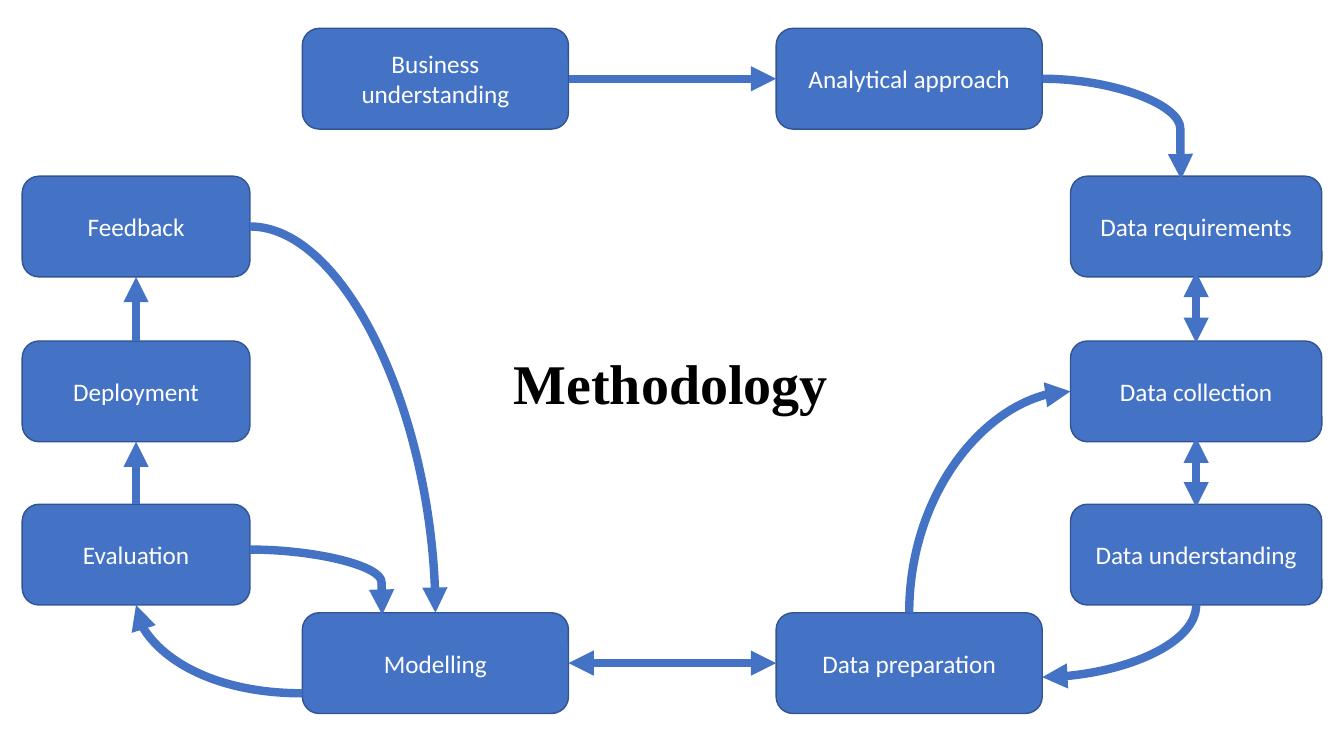
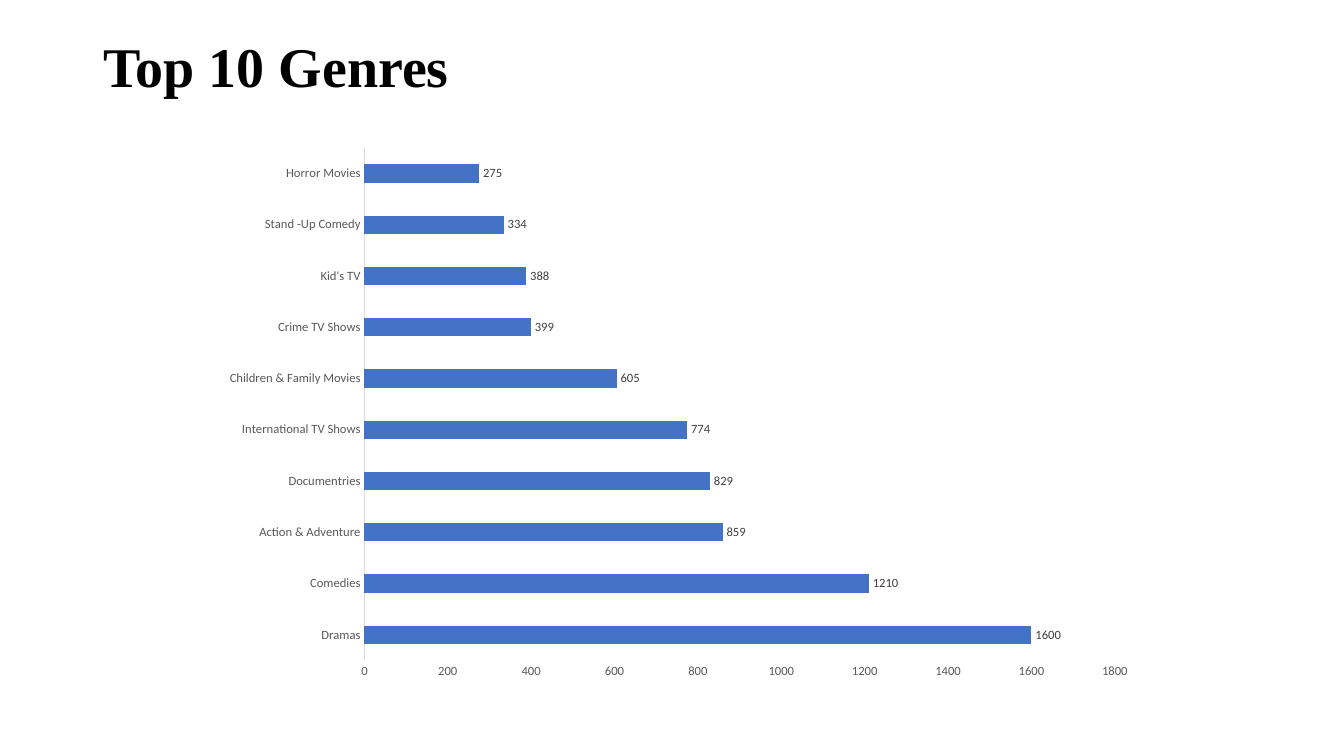
"""Build a methodology flow slide and a bar chart slide of the top ten genres."""
import lxml.etree
import pptx
import pptx.chart.data
import pptx.dml.color
import pptx.enum.chart
import pptx.enum.shapes
import pptx.enum.text
import pptx.oxml.ns
import pptx.util

BLUE, EDGE, WHITE, BLACK = "4472C4", "325491", "FFFFFF", "000000"
GREY, DARK, PALE = "595959", "404040", "D9D9D9"
BODY, HEAD = "Calibri", "Times New Roman"

deck = pptx.Presentation()
deck.slide_width = pptx.util.Inches(13.33)
deck.slide_height = pptx.util.Inches(7.5)
col, row = deck.slide_width / 100, deck.slide_height / 100
qn = pptx.oxml.ns.qn


def style(font, size, color, name=BODY, bold=False):
    font.size, font.name, font.bold = pptx.util.Pt(size), name, bold
    font.color.rgb = pptx.dml.color.RGBColor.from_string(color)


def paint(form, color):
    form.solid()
    form.fore_color.rgb = pptx.dml.color.RGBColor.from_string(color)


pages = []
for text, left, top, width in [("Methodology", 37.35, 45.45, 25.1),
                               ("Top 10 Genres", 6.8, 3.5, 27.5)]:
    page = deck.slides.add_slide(deck.slide_layouts[5])
    title = page.shapes.title
    title.left, title.top = int(left * col), int(top * row)
    title.width, title.height = int(width * col), int(10.3 * row)
    frame = title.text_frame
    frame.text = text
    frame.word_wrap = False
    frame.auto_size = pptx.enum.text.MSO_AUTO_SIZE.SHAPE_TO_FIT_TEXT
    frame.paragraphs[0].alignment = pptx.enum.text.PP_ALIGN.CENTER
    style(frame.paragraphs[0].font, 40, BLACK, HEAD, True)
    pages.append(page)
flow, genres = pages

cols = [(1.65, 16.95), (22.5, 19.8), (57.75, 19.8), (79.65, 18.7)]
rows = [3.75, 23.3, 45.1, 66.7, 81.05]
tall = 13.33
steps = [
    ("Business understanding", 1, 0), ("Analytical approach", 2, 0),
    ("Data requirements", 3, 1), ("Data collection", 3, 2),
    ("Data understanding", 3, 3), ("Data preparation", 2, 4),
    ("Modelling", 1, 4), ("Evaluation", 0, 3),
    ("Deployment", 0, 2), ("Feedback", 0, 1),
]
boxes = {}
for text, across, down in steps:
    left, width = cols[across]
    box = flow.shapes.add_shape(
        pptx.enum.shapes.MSO_SHAPE.ROUNDED_RECTANGLE, int(left * col),
        int(rows[down] * row), int(width * col), int(tall * row))
    box.shadow.inherit = False
    paint(box.fill, BLUE)
    paint(box.line.fill, EDGE)
    box.line.width = pptx.util.Pt(1)
    frame = box.text_frame
    frame.word_wrap = True
    frame.vertical_anchor = pptx.enum.text.MSO_ANCHOR.MIDDLE
    para = frame.paragraphs[0]
    para.text = text
    para.alignment = pptx.enum.text.PP_ALIGN.CENTER
    style(para.font, 18, WHITE)
    boxes[text] = box

LINE, BEND, HOOK = "line", "curvedConnector2", "curvedConnector3"
START, END, BOTH = ["headEnd"], ["tailEnd"], ["headEnd", "tailEnd"]
links = [
    ("Business understanding", 1, 0.5, "Analytical approach", 0, 0.5, LINE, END),
    ("Analytical approach", 1, 0.5, "Data requirements", 0.44, 0.03, HOOK, END),
    ("Data collection", 0, 0.5, "Data preparation", 0.5, 0, BEND, START),
    ("Data preparation", 1, 0.64, "Data understanding", 0.5, 1, BEND, START),
    ("Feedback", 1, 0.5, "Modelling", 0.5, 0, BEND, END),
    ("Deployment", 0.5, 0, "Feedback", 0.5, 1, LINE, END),
    ("Evaluation", 0.5, 0, "Deployment", 0.5, 1, LINE, END),
    ("Data requirements", 0.5, 0.95, "Data collection", 0.5, 0.02, LINE, BOTH),
    ("Data collection", 0.5, 0.96, "Data understanding", 0.5, 0.03, LINE, BOTH),
    ("Modelling", 1, 0.5, "Data preparation", 0, 0.5, LINE, BOTH),
    ("Evaluation", 1, 0.45, "Modelling", 0.3, 0.02, HOOK, END),
    ("Modelling", 0, 0.8, "Evaluation", 0.5, 1, BEND, END),
]
for first, x1, y1, last, x2, y2, kind, tips in links:
    ends = []
    for name, x, y in [(first, x1, y1), (last, x2, y2)]:
        box = boxes[name]
        ends += [int(box.left + x * box.width), int(box.top + y * box.height)]
    link = flow.shapes.add_connector(
        pptx.enum.shapes.MSO_CONNECTOR.STRAIGHT, *ends)
    paint(link.line.fill, BLUE)
    link.line.width = pptx.util.Pt(6)
    props = link._element.spPr
    shape = props.find(qn("a:prstGeom"))
    shape.set("prst", kind)
    if kind == HOOK:
        guide = lxml.etree.SubElement(shape.find(qn("a:avLst")), qn("a:gd"))
        guide.set("name", "adj1")
        guide.set("fmla", "val 99500")
    for tip in tips:
        mark = lxml.etree.SubElement(props.find(qn("a:ln")), qn("a:" + tip))
        mark.set("type", "triangle")
    lxml.etree.SubElement(props, qn("a:effectLst"))

counts = {
    "Dramas": 1600, "Comedies": 1210, "Action & Adventure": 859,
    "Documentries": 829, "International TV Shows": 774,
    "Children & Family Movies": 605, "Crime TV Shows": 399,
    "Kid's TV": 388, "Stand -Up Comedy": 334, "Horror Movies": 275,
}
data = pptx.chart.data.CategoryChartData()
data.categories = list(counts)
data.add_series("Series 1", list(counts.values()))
chart = genres.shapes.add_chart(
    pptx.enum.chart.XL_CHART_TYPE.BAR_CLUSTERED, int(15.7 * col),
    int(18.1 * row), int(69.6 * col), int(73.2 * row), data).chart
chart.has_title = False
chart.has_legend = False
style(chart.font, 10, BLACK)
for axis in [chart.category_axis, chart.value_axis]:
    axis.has_major_gridlines = False
    axis.major_tick_mark = pptx.enum.chart.XL_TICK_MARK.NONE
    axis.minor_tick_mark = pptx.enum.chart.XL_TICK_MARK.NONE
    style(axis.tick_labels.font, 9, GREY)
paint(chart.category_axis.format.line.fill, PALE)
chart.category_axis.format.line.width = pptx.util.Pt(0.75)
scale = chart.value_axis
scale.format.line.fill.background()
scale.minimum_scale, scale.maximum_scale, scale.major_unit = 0, 1800, 200

plot = chart.plots[0]
plot.gap_width = 182
plot.vary_by_categories = False
paint(plot.series[0].format.fill, BLUE)
plot.has_data_labels = True
labels = plot.data_labels
labels.show_value = True
labels.position = pptx.enum.chart.XL_LABEL_POSITION.OUTSIDE_END
style(labels.font, 9, DARK)

deck.save("out.pptx")
